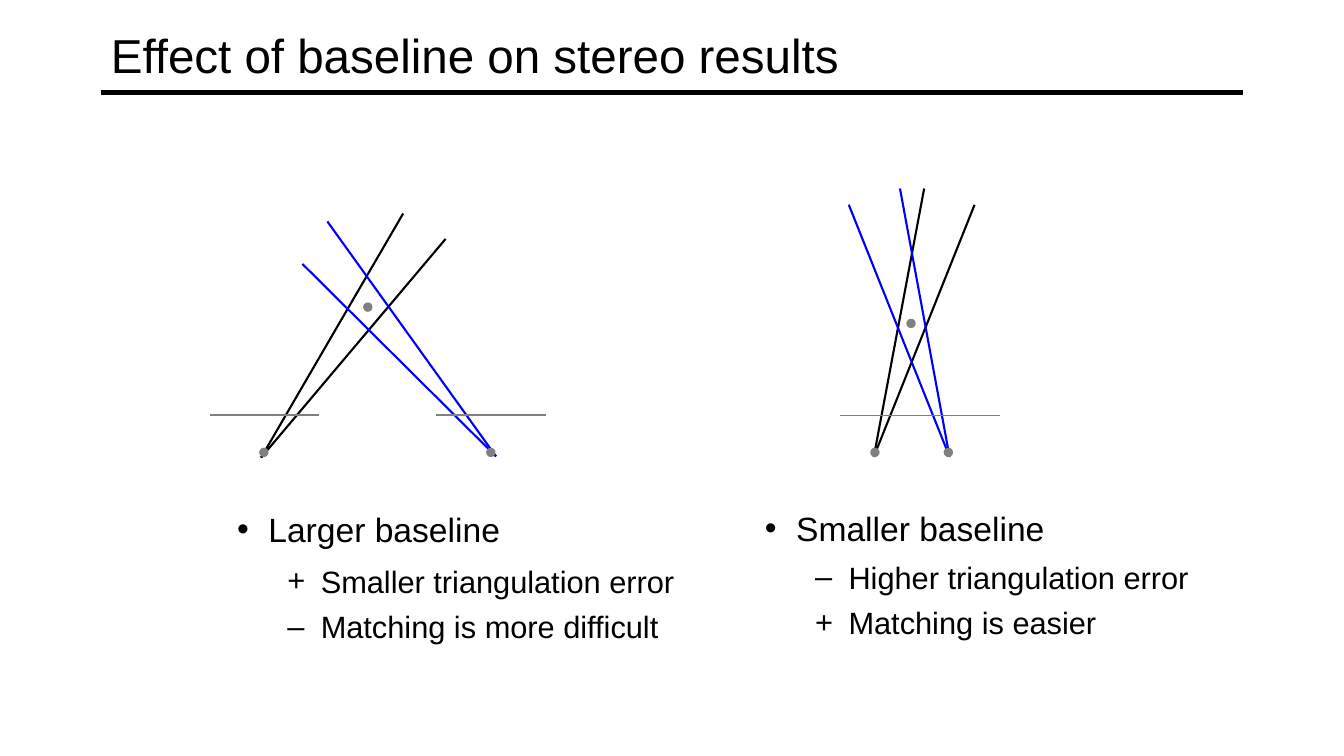
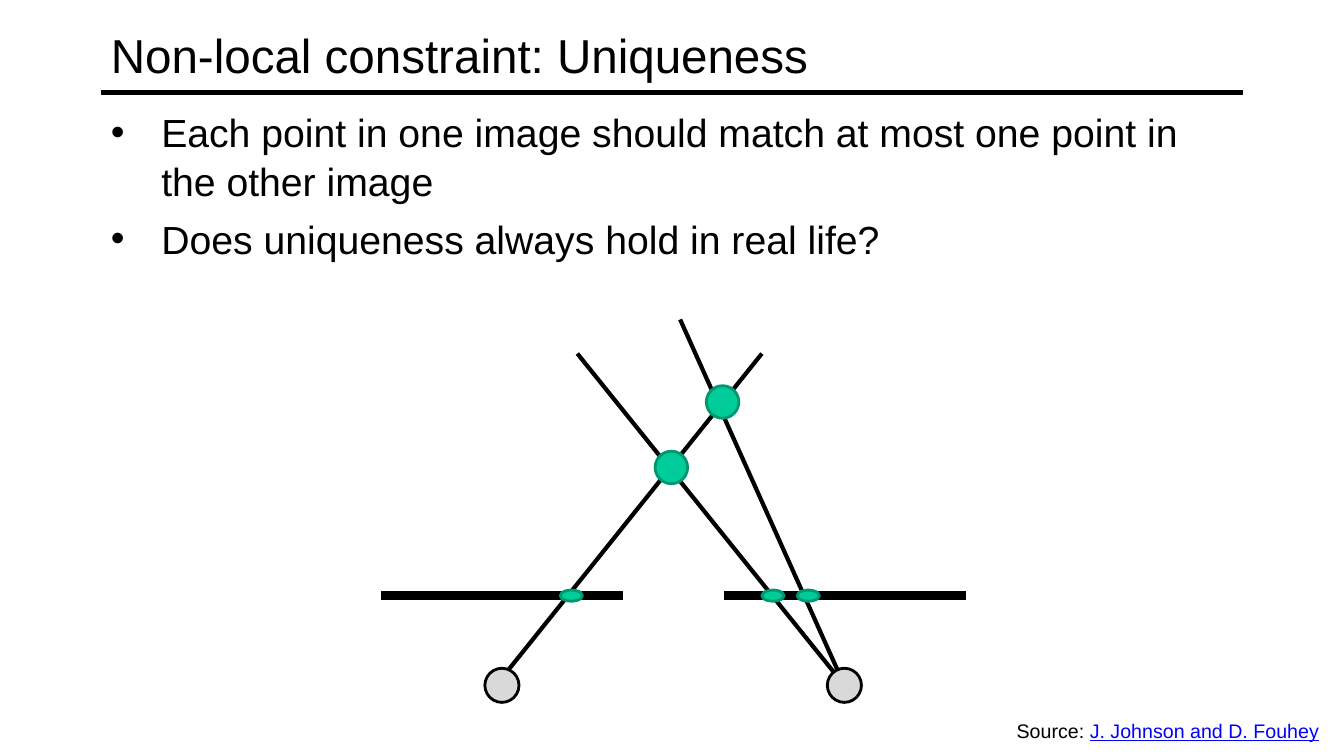
from lxml.etree import SubElement
from pptx import Presentation
from pptx.dml.color import RGBColor
from pptx.enum.shapes import MSO_CONNECTOR, MSO_SHAPE
from pptx.enum.text import MSO_ANCHOR, MSO_AUTO_SIZE, PP_ALIGN
from pptx.oxml.ns import qn
from pptx.util import Cm, Pt

BLACK = RGBColor(0x00, 0x00, 0x00)
BLUE = RGBColor(0x00, 0x00, 0xFF)
GRAY = RGBColor(0x80, 0x80, 0x80)
LIGHT_GRAY = RGBColor(0xD9, 0xD9, 0xD9)
GREEN = RGBColor(0x00, 0xCC, 0x99)
DARK_GREEN = RGBColor(0x00, 0x97, 0x71)
FONT = "Arial"
LINE_SPACING = 1.05
TITLE_AND_CONTENT = 1
TWO_CONTENT = 3


def place(shape, left, top, width, height):
    shape.left, shape.top = Cm(left), Cm(top)
    shape.width, shape.height = Cm(width), Cm(height)


def write_text(paragraph, text, size, color=BLACK, underline=None):
    run = paragraph.add_run()
    run.text = text
    run.font.name = FONT
    run.font.size = Pt(size)
    run.font.color.rgb = color
    run.font.underline = underline


def set_bullet(paragraph, character, margin, hanging):
    properties = paragraph._p.get_or_add_pPr()
    properties.set("marL", str(Cm(margin)))
    properties.set("indent", str(-Cm(hanging)))
    SubElement(properties, qn("a:buFont")).set("typeface", FONT)
    SubElement(properties, qn("a:buChar")).set("char", character)


def add_line(shapes, origin, start, end, color, width):
    left, top = origin
    line = shapes.add_connector(
        MSO_CONNECTOR.STRAIGHT,
        Cm(left + start[0]), Cm(top + start[1]),
        Cm(left + end[0]), Cm(top + end[1]),
    )
    line.line.color.rgb = color
    line.line.width = Pt(width)
    SubElement(line._element.spPr, qn("a:effectLst"))


def add_dot(shapes, origin, center, size, fill, outline, line_width):
    width, height = size
    dot = shapes.add_shape(
        MSO_SHAPE.OVAL,
        Cm(origin[0] + center[0] - width / 2),
        Cm(origin[1] + center[1] - height / 2),
        Cm(width), Cm(height),
    )
    dot.shadow.inherit = False
    dot.fill.solid()
    dot.fill.fore_color.rgb = fill
    dot.line.color.rgb = outline
    dot.line.width = Pt(line_width)


def start_slide(presentation, layout, title_text):
    slide = presentation.slides.add_slide(presentation.slide_layouts[layout])
    title = slide.shapes.title
    place(title, 2.54, 0.2, 28.78, 2.34)
    frame = title.text_frame
    frame.auto_size = MSO_AUTO_SIZE.NONE
    frame.vertical_anchor = MSO_ANCHOR.MIDDLE
    frame.paragraphs[0].alignment = PP_ALIGN.LEFT
    write_text(frame.paragraphs[0], title_text, 34)
    add_line(slide.shapes, (2.54, 2.33), (0, 0), (28.78, 0), BLACK, 3)
    return slide


def fill_list(body, box, items):
    place(body, *box)
    frame = body.text_frame
    frame.auto_size = MSO_AUTO_SIZE.NONE
    frame.vertical_anchor = MSO_ANCHOR.TOP
    for index, (character, text, size, level, margin, hanging, gap) in enumerate(items):
        paragraph = frame.paragraphs[0] if index == 0 else frame.add_paragraph()
        paragraph.level = level
        paragraph.line_spacing = LINE_SPACING
        paragraph.space_before = Pt(gap)
        set_bullet(paragraph, character, margin, hanging)
        write_text(paragraph, text, size)


def fill_comparison(body, box, heading, details, first_gap):
    items = [("•", heading, 24, 1, 2.06, 0.79, 0)]
    for index, (sign, text) in enumerate(details):
        gap = 5 if index else first_gap
        items.append((sign, text, 22, 2, 3.38, 0.84, gap))
    fill_list(body, box, items)


def draw_baseline(slide, origin, rays, planes, plane_height, dots):
    shapes = slide.shapes.add_group_shape().shapes
    for color, apex, targets in rays:
        for target in targets:
            add_line(shapes, origin, apex, target, color, 1.5)
    for start, end in planes:
        add_line(shapes, origin, (start, plane_height), (end, plane_height), GRAY, 1)
    for center in dots:
        add_dot(shapes, origin, center, (0.2, 0.2), GRAY, GRAY, 1)


def draw_uniqueness(slide, origin):
    shapes = slide.shapes.add_group_shape().shapes
    camera_height, plane_height = 9.22, 6.96
    for start, end in (
        (2.9, (9.6, 0.86)),
        (11.68, (4.95, 0.86)),
        (11.68, (7.54, 0)),
    ):
        add_line(shapes, origin, (start, camera_height), end, BLACK, 3)
    for start in (0, 8.64):
        add_line(shapes, origin, (start, plane_height), (start + 6.1, plane_height), BLACK, 6)
    for camera in (3.05, 11.68):
        add_dot(shapes, origin, (camera, camera_height), (0.86, 0.86), LIGHT_GRAY, BLACK, 2)
    for point in ((7.32, 3.73), (8.61, 2.08)):
        add_dot(shapes, origin, point, (0.82, 0.82), GREEN, DARK_GREEN, 2)
    for projection in (4.8, 9.88, 10.77):
        add_dot(shapes, origin, (projection, plane_height), (0.56, 0.28), GREEN, DARK_GREEN, 2)


def add_source(slide, left, top, width, height):
    box = slide.shapes.add_textbox(Cm(left), Cm(top), Cm(width), Cm(height))
    box.text_frame.word_wrap = False
    paragraph = box.text_frame.paragraphs[0]
    write_text(paragraph, "Source: ", 14)
    write_text(paragraph, "J. Johnson and D. Fouhey", 14, color=BLUE, underline=True)


def build_baseline_slide(presentation):
    slide = start_slide(presentation, TWO_CONTENT, "Effect of baseline on stereo results")
    draw_baseline(
        slide, (5.28, 5.38),
        rays=(
            (BLACK, (1.3, 6.15), ((4.88, 0), (5.95, 0.64))),
            (BLUE, (7.22, 6.12), ((2.97, 0.2), (2.34, 1.27))),
        ),
        planes=((0, 2.77), (5.72, 8.48)),
        plane_height=5.08,
        dots=((1.37, 6.02), (7.09, 6.02), (3.99, 2.36)),
    )
    draw_baseline(
        slide, (21.16, 4.75),
        rays=(
            (BLACK, (0.86, 6.76), ((3.4, 0.41), (2.13, 0))),
            (BLUE, (2.77, 6.76), ((1.52, 0), (0.23, 0.41))),
        ),
        planes=((0, 2.77), (1.27, 4.04)),
        plane_height=5.72,
        dots=((0.89, 6.65), (2.74, 6.65), (1.8, 3.4)),
    )
    fill_comparison(
        slide.placeholders[1], (4.45, 12.65, 13.31, 6.78), "Larger baseline",
        (("+", "Smaller triangulation error"), ("–", "Matching is more difficult")),
        first_gap=8,
    )
    fill_comparison(
        slide.placeholders[2], (17.75, 12.62, 14.94, 6.78), "Smaller baseline",
        (("–", "Higher triangulation error"), ("+", "Matching is easier")),
        first_gap=6,
    )


def build_uniqueness_slide(presentation):
    slide = start_slide(presentation, TITLE_AND_CONTENT, "Non-local constraint: Uniqueness")
    statements = (
        "Each point in one image should match at most one point in the other image",
        "Does uniqueness always hold in real life?",
    )
    fill_list(
        slide.placeholders[1], (2.54, 2.54, 28.78, 14.6),
        [("•", text, 28, 0, 1.27, 1.27, 5.6 if index else 0)
         for index, text in enumerate(statements)],
    )
    draw_uniqueness(slide, (9.6, 8.05))
    add_source(slide, 25.37, 17.98, 8.18, 0.86)


def main():
    presentation = Presentation()
    presentation.slide_width = Cm(33.87)
    presentation.slide_height = Cm(19.05)
    build_baseline_slide(presentation)
    build_uniqueness_slide(presentation)
    presentation.save("out.pptx")


if __name__ == "__main__":
    main()
